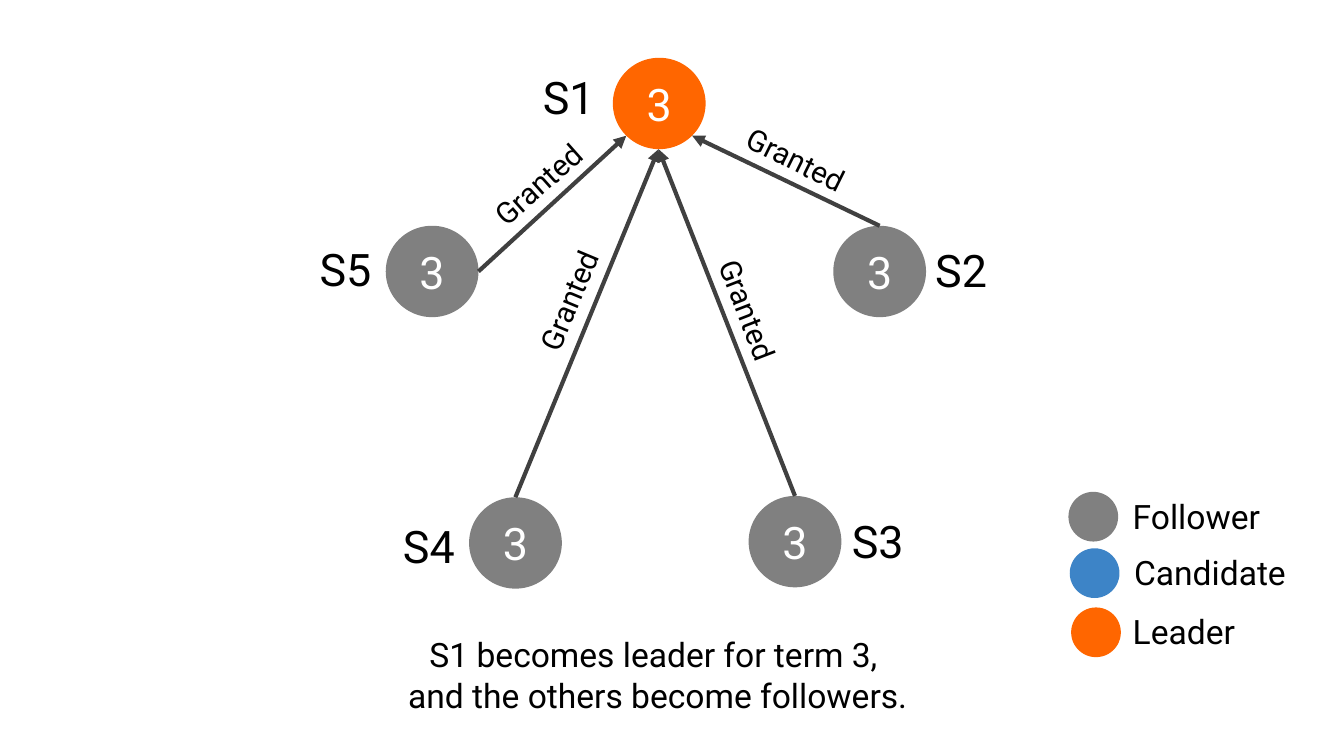
from lxml.etree import SubElement
from pptx import Presentation
from pptx.dml.color import RGBColor
from pptx.enum.shapes import MSO_CONNECTOR, MSO_SHAPE
from pptx.enum.text import MSO_ANCHOR, MSO_AUTO_SIZE, PP_ALIGN
from pptx.oxml.ns import qn
from pptx.util import Inches, Pt

ORANGE = RGBColor(0xFF, 0x66, 0x00)
GRAY = RGBColor(0x80, 0x80, 0x80)
BLUE = RGBColor(0x3D, 0x84, 0xC7)
DARK = RGBColor(0x40, 0x40, 0x40)
BLACK = RGBColor(0, 0, 0)
WHITE = RGBColor(0xFF, 0xFF, 0xFF)

FONT = "Roboto"
TERM = "3"
NODE_W, NODE_H = 0.69, 0.68
DOT = 0.37

# name, node left and top, label left and top, fill
SERVERS = [
    ("S1", 4.56, 0.43, 3.94, 0.47, ORANGE),
    ("S5", 2.87, 1.68, 2.28, 1.75, GRAY),
    ("S2", 6.2, 1.68, 6.86, 1.76, GRAY),
    ("S4", 3.49, 3.7, 2.9, 3.81, GRAY),
    ("S3", 5.57, 3.69, 6.24, 3.77, GRAY),
]
# role, dot left and top, text left and width, fill
ROLES = [
    ("Follower", 7.95, 3.66, 8.33, 1.17, GRAY),
    ("Candidate", 7.96, 4.08, 8.34, 1.37, BLUE),
    ("Leader", 7.97, 4.52, 8.33, 1.0, ORANGE),
]
# voter, arrow start and end, label left and top, label turn
VOTES = [
    ("S3", (5.91, 3.69), (4.9, 1.11), 5.06, 2.14, 68.9),
    ("S2", (6.55, 1.68), (5.15, 1.01), 5.43, 1.01, 26.5),
    ("S5", (3.56, 2.02), (4.66, 1.01), 3.51, 1.17, 318.4),
    ("S4", (3.84, 3.7), (4.9, 1.11), 3.73, 2.03, 292.7),
]
CAPTION = ["S1 becomes leader for term 3, ", "and the others become followers."]


def add_run(para, text, size, color):
    run = para.add_run()
    run.text = text
    run.font.name = FONT
    run.font.size = Pt(size)
    run.font.color.rgb = color


def add_disc(slide, left, top, width, height, fill):
    disc = slide.shapes.add_shape(
        MSO_SHAPE.OVAL, Inches(left), Inches(top), Inches(width), Inches(height))
    disc.shadow.inherit = False
    disc.fill.solid()
    disc.fill.fore_color.rgb = fill
    disc.line.fill.background()
    return disc


def add_node(slide, left, top, fill):
    node = add_disc(slide, left, top, NODE_W, NODE_H, fill)
    frame = node.text_frame
    frame.vertical_anchor = MSO_ANCHOR.MIDDLE
    para = frame.paragraphs[0]
    para.alignment = PP_ALIGN.CENTER
    add_run(para, TERM, 24, WHITE)
    return node


def add_label(slide, lines, left, top, width, height, size,
              align=PP_ALIGN.LEFT, turn=0):
    box = slide.shapes.add_textbox(
        Inches(left), Inches(top), Inches(width), Inches(height))
    box.rotation = turn
    frame = box.text_frame
    frame.word_wrap = False
    frame.auto_size = MSO_AUTO_SIZE.SHAPE_TO_FIT_TEXT
    for i, line in enumerate(lines):
        para = frame.add_paragraph() if i else frame.paragraphs[0]
        para.alignment = align
        add_run(para, line, size, BLACK)


def add_arrow(slide, start, end, node):
    """Draw an arrow, joined to the node when it starts at the node's top."""
    arrow = slide.shapes.add_connector(
        MSO_CONNECTOR.STRAIGHT, *map(Inches, start + end))
    if Inches(start[1]) == node.top:
        arrow.begin_connect(node, 0)
    arrow.line.color.rgb = DARK
    arrow.line.width = Pt(2.25)
    SubElement(arrow.line._get_or_add_ln(), qn("a:tailEnd"), type="triangle")
    SubElement(arrow._element.spPr, qn("a:effectLst"))


def main():
    prs = Presentation()
    prs.slide_width = Inches(10)
    prs.slide_height = prs.slide_width * 9 // 16
    slide = prs.slides.add_slide(prs.slide_layouts[6])

    nodes = {}
    for name, left, top, x, y, fill in SERVERS:
        nodes[name] = add_node(slide, left, top, fill)
        add_label(slide, [name], x, y, 0.61, 0.5, 24)

    for role, left, top, x, width, fill in ROLES:
        add_disc(slide, left, top, DOT, DOT, fill)
        add_label(slide, [role], x, top - 0.02, width, 0.4, 18)

    for name, start, end, x, y, turn in VOTES:
        add_arrow(slide, start, end, nodes[name])
        add_label(slide, ["Granted"], x, y, 1.02, 0.37, 16, turn=turn)

    add_label(slide, CAPTION, 2.91, 4.67, 3.97, 0.71, 18, PP_ALIGN.CENTER)
    prs.save("out.pptx")


if __name__ == "__main__":
    main()
